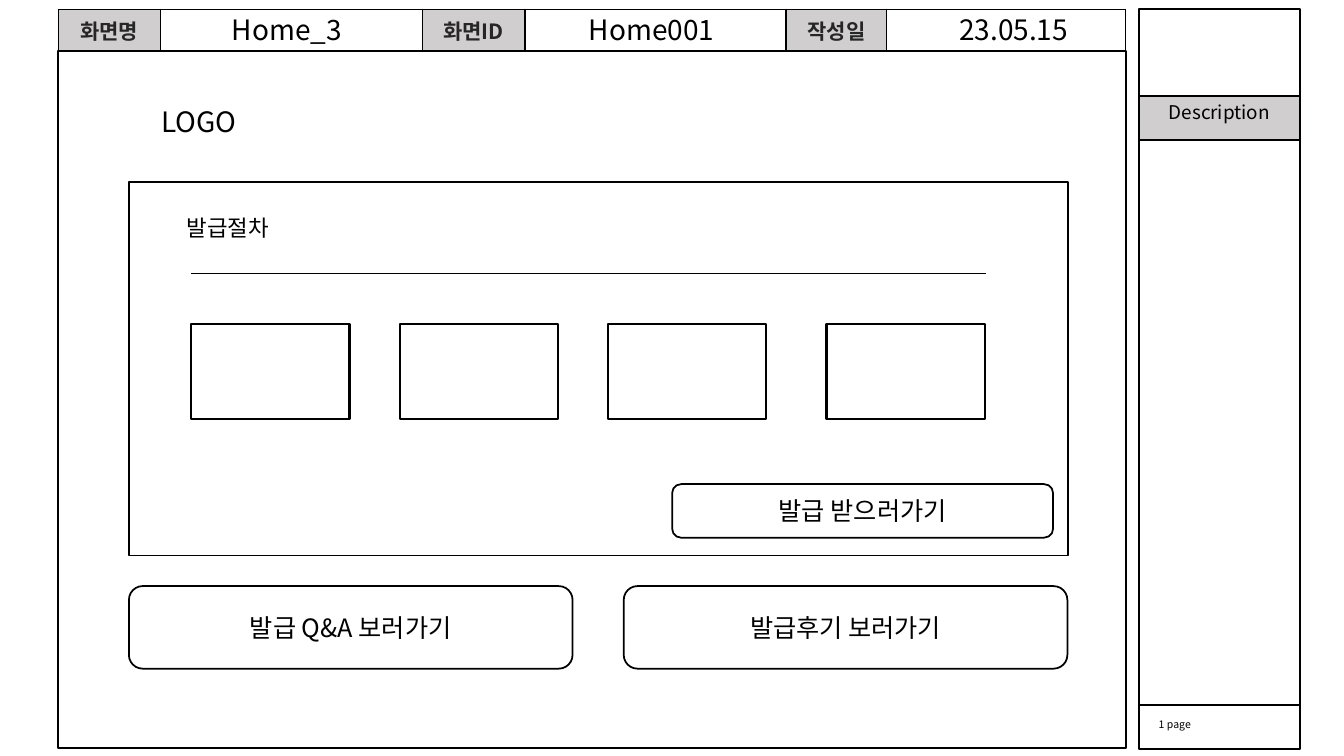
from itertools import accumulate

from lxml.etree import SubElement
from pptx import Presentation
from pptx.dml.color import RGBColor
from pptx.enum.shapes import MSO_CONNECTOR, MSO_SHAPE
from pptx.enum.text import MSO_ANCHOR, MSO_AUTO_SIZE, PP_ALIGN
from pptx.oxml import parse_xml
from pptx.oxml.ns import nsdecls, qn
from pptx.util import Cm, Pt

FONT = "Noto Sans CJK KR"
BLACK, DARK, GREY = "000000", "262626", "D0CECE"


def rgb(value):
    return RGBColor.from_string(value)


def write(tf, text, size, align=PP_ALIGN.CENTER, color=BLACK, bold=False):
    tf.text = text
    p = tf.paragraphs[0]
    p.alignment = align
    for r in p.runs:
        r.font.name = FONT
        r.font.size = Pt(size)
        r.font.bold = bold
        r.font.color.rgb = rgb(color)
        SubElement(r.font._element, qn("a:ea")).set("typeface", FONT)


def add_label(s, x, y, w, h, text, size, align=PP_ALIGN.CENTER):
    tf = s.shapes.add_textbox(Cm(x), Cm(y), Cm(w), Cm(h)).text_frame
    tf.word_wrap = True
    tf.auto_size = MSO_AUTO_SIZE.SHAPE_TO_FIT_TEXT
    write(tf, text, size, align)


def add_box(s, x, y, w, h, weight=1.5, fill=None, kind=MSO_SHAPE.RECTANGLE):
    sp = s.shapes.add_shape(kind, Cm(x), Cm(y), Cm(w), Cm(h))
    sp.shadow.inherit = False
    sp.line.color.rgb = rgb(BLACK)
    sp.line.width = Pt(weight)
    if fill:
        sp.fill.solid()
        sp.fill.fore_color.rgb = rgb(fill)
    else:
        sp.fill.background()
    return sp


def add_button(s, x, y, w, h, text):
    sp = add_box(s, x, y, w, h, 1.25, kind=MSO_SHAPE.ROUNDED_RECTANGLE)
    sp.text_frame.word_wrap = True
    sp.text_frame.vertical_anchor = MSO_ANCHOR.MIDDLE
    write(sp.text_frame, text, 18)


def set_borders(cell):
    tc_pr = cell._tc.get_or_add_tcPr()
    for i, side in enumerate("LRTB"):
        tc_pr.insert(i, parse_xml(
            f'<a:ln{side} {nsdecls("a")} w="12700"><a:solidFill>'
            f'<a:srgbClr val="{BLACK}"/></a:solidFill></a:ln{side}>'))


def add_header(s, x, y, w, h):
    """Grey caption cells, each followed by a cell with its value."""
    fields = [("화면명", "Home_3"), ("화면ID", "Home001"), ("작성일", "23.05.15")]
    widths = [2.57, 6.6, 2.59, 6.58, 2.54, 6.02]
    table = s.shapes.add_table(1, len(widths), Cm(x), Cm(y), Cm(w), Cm(h)).table
    table.first_row = table.horz_banding = False
    table.rows[0].height = Cm(h)
    for i, width in enumerate(widths):
        table.columns[i].width = Cm(width)
        cell = table.cell(0, i)
        cell.vertical_anchor = MSO_ANCHOR.MIDDLE
        if i % 2:
            cell.margin_top = cell.margin_bottom = 0
            cell.fill.background()
        else:
            cell.margin_left = cell.margin_right = Cm(0.23)
            cell.margin_top = cell.margin_bottom = Cm(0.15)
            cell.fill.solid()
            cell.fill.fore_color.rgb = rgb(GREY)
            write(cell.text_frame, fields[i // 2][0], 15, color=DARK, bold=True)
        set_borders(cell)
    ends = list(accumulate(widths))
    for (_, value), left in zip(fields, ends[::2]):
        add_label(s, x + left + 0.4, y - 0.03, 5.59, 1.12, value, 20)


def add_sidebar(s, x, y, w):
    heights = [2.18, 1.12, 14.23, 1.12]
    tops = [y + t for t in accumulate(heights[:-1], initial=0)]
    for top, h, fill in zip(tops, heights, [None, GREY, None, None]):
        add_box(s, x, top, w, h, fill=fill)
    add_label(s, x + 0.51, tops[1], 3.18, 0.84, "Description", 13.5, PP_ALIGN.LEFT)
    add_label(s, x + 0.25, tops[3] + 0.2, 3.35, 0.58, "1 page", 7.5, PP_ALIGN.LEFT)


def add_procedure(s, x, y, w, h):
    """Panel with a title, a rule, four empty steps and a button."""
    add_box(s, x, y, w, h, 1.25)
    add_label(s, x + 0.51, y + 0.69, 3.96, 0.94, "발급절차", 16)
    rule = s.shapes.add_connector(MSO_CONNECTOR.STRAIGHT, Cm(x + 1.57), Cm(y + 2.31),
                                  Cm(x + 21.59), Cm(y + 2.31))
    rule.line.color.rgb = rgb(BLACK)
    rule.line.width = Pt(1.25)
    SubElement(rule._element.spPr, qn("a:effectLst"))
    for left in (1.57, 6.83, 12.07, 17.58):
        add_box(s, x + left, y + 3.58, 3.99, 2.39)
    add_button(s, x + 13.69, y + 7.62, 9.6, 1.35, "발급 받으러가기")


def add_screen(s, x, y, w, h):
    add_box(s, x, y, w, h)
    add_label(s, x + 2.31, y + 1.22, 2.46, 1.12, "LOGO", 20)
    add_procedure(s, x + 1.78, y + 3.3, 23.67, 9.42)
    for left, text in ((1.78, "발급 Q&A 보러가기"), (14.25, "발급후기 보러가기")):
        add_button(s, x + left, y + 13.49, 11.18, 2.08, text)


def main():
    prs = Presentation()
    prs.slide_width, prs.slide_height = Cm(33.87), Cm(19.05)
    s = prs.slides.add_slide(prs.slide_layouts[6])
    add_header(s, 1.47, 0.23, 26.9, 1.07)
    add_screen(s, 1.47, 1.28, 26.9, 17.58)
    add_sidebar(s, 28.7, 0.23, 4.06)
    prs.save("out.pptx")


if __name__ == "__main__":
    main()
